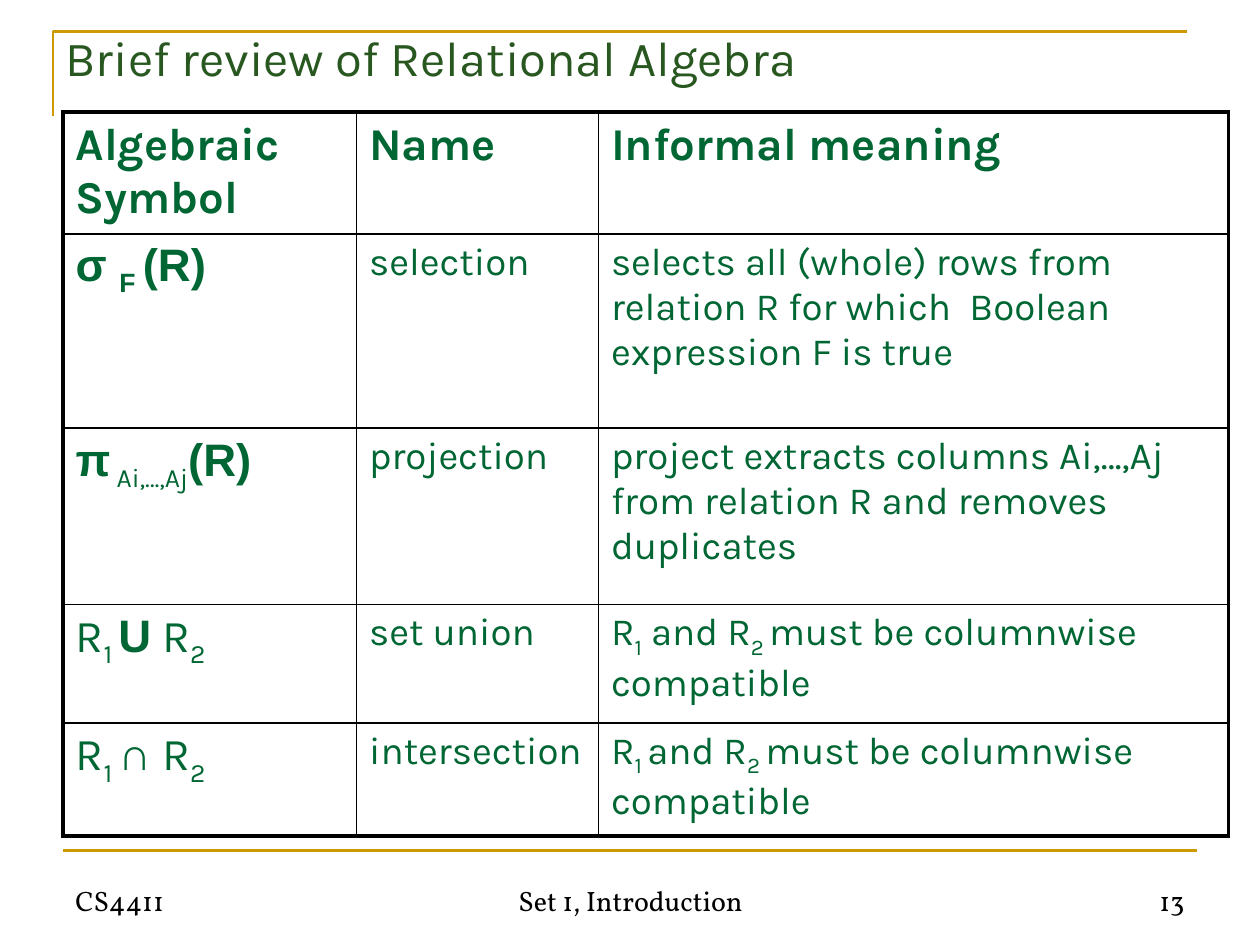
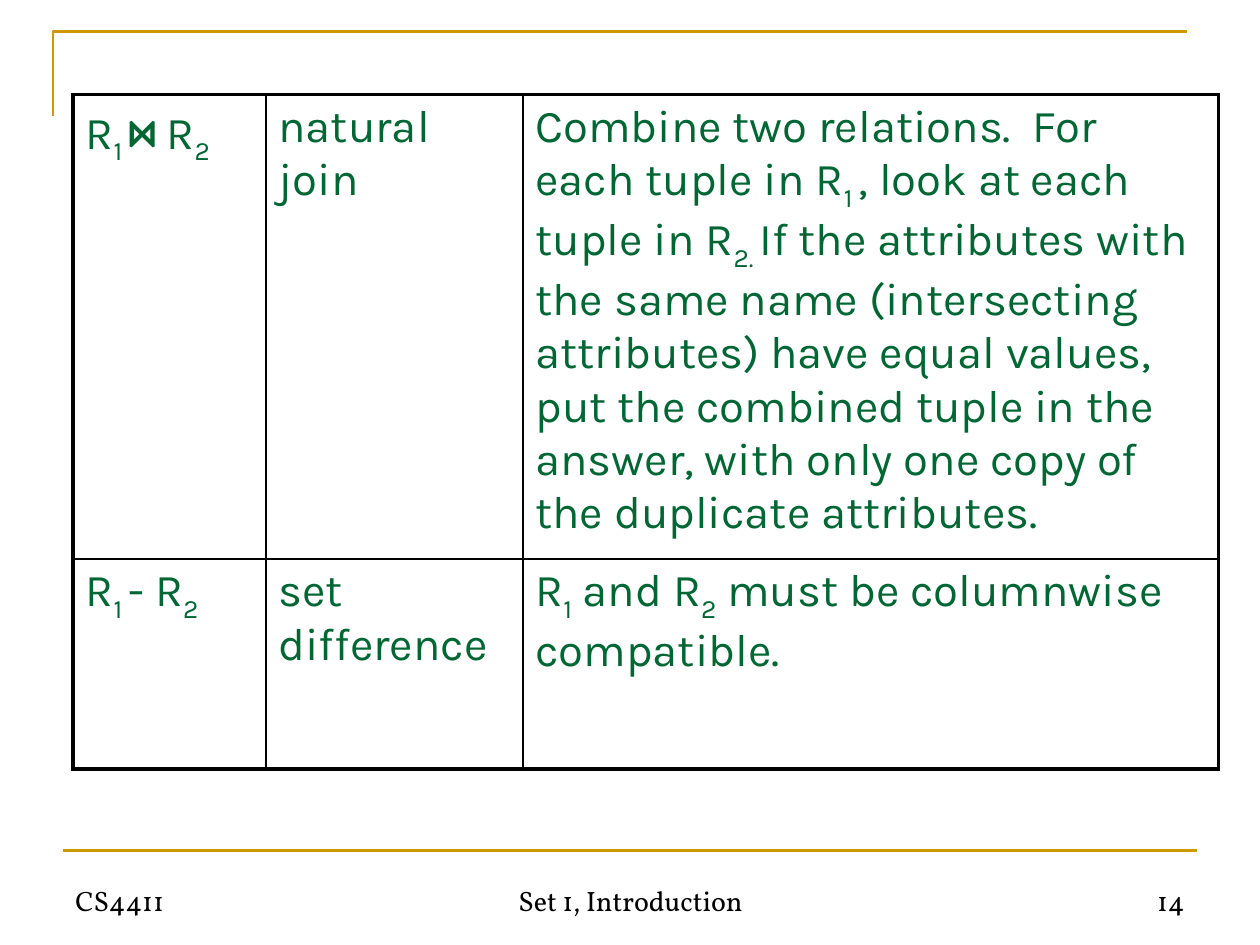
from lxml.etree import SubElement
from pptx import Presentation
from pptx.dml.color import RGBColor
from pptx.enum.shapes import MSO_CONNECTOR as Connector
from pptx.enum.text import MSO_ANCHOR as Anchor, MSO_AUTO_SIZE as AutoSize, PP_ALIGN as Align
from pptx.oxml import parse_xml
from pptx.oxml.ns import nsdecls, qn
from pptx.util import Inches, Pt

GOLD = RGBColor(0xCC, 0x99, 0x00)
GREEN = RGBColor(0x00, 0x66, 0x33)
TITLE_GREEN = RGBColor(0x28, 0x57, 0x20)
BLACK = RGBColor(0, 0, 0)

BODY_FONT, FOOTER_FONT = "Karla", "Vollkorn"
TITLE_ONLY, BLANK = 5, 6
OUTER, INNER = 2.25, 1

# Span styles: values that differ from the plain text of a table column.
PLAIN = {}
SUB = {"baseline": -25000}
HEAD = {"size": Pt(26), "bold": True}
SYMBOL = {"name": "Arial", "bold": True}
SYMBOL_SUB = {**SYMBOL, **SUB}
JOIN = {"name": "Noto Sans Mono", "bold": True}


def pair(operator, style):
    """Return the spans of R1 and R2 with an operator between them."""
    return [("R", PLAIN), ("1 ", SUB), (operator, style), (" R", PLAIN), ("2", SUB)]


def compatible(first, joint, second, ending):
    """Return the spans of the rule that R1 and R2 must be compatible."""
    return [("R", PLAIN), (first, SUB), (joint, PLAIN), (second, SUB), (ending, PLAIN)]


OPERATIONS = [
    [[("Algebraic Symbol", HEAD)], [("Name", HEAD)], [("Informal meaning", HEAD)]],
    [[("σ ", SYMBOL), ("F ", SYMBOL_SUB), ("(R)", SYMBOL)],
     "selection",
     "selects all (whole) rows from relation R for which  Boolean expression F is true"],
    [[("π", SYMBOL), (" Ai,…,Aj", SUB), ("(R)", SYMBOL)],
     "projection",
     "project extracts columns Ai,…,Aj from relation R and removes duplicates"],
    [pair("U", SYMBOL),
     "set union",
     compatible("1", " and R", "2 ", "must be columnwise compatible")],
    [pair("∩", SYMBOL),
     "intersection",
     compatible("1 ", "and R", "2 ", "must be columnwise compatible")],
]

MORE_OPERATIONS = [
    [pair("⋈", JOIN),
     "natural join",
     [("Combine two relations.  For each tuple in R", PLAIN), ("1 ", SUB),
      (", look at each tuple in R", PLAIN), ("2. ", SUB),
      ("If the attributes with the same name (intersecting attributes) have equal "
       "values, put the combined tuple in the answer, with only one copy of the "
       "duplicate attributes.", PLAIN)]],
    [[("R", PLAIN), ("1 ", SUB), ("- R", PLAIN), ("2", SUB)],
     "set difference",
     compatible("1", " and R", "2", " must be columnwise compatible.")],
]


def add_span(para, text, color, **values):
    """Add a run of text with its font values."""
    span = para.add_run()
    span.text = text
    span.font.color.rgb = color
    baseline = values.pop("baseline", None)
    for key, value in values.items():
        setattr(span.font, key, value)
    if baseline:
        span.font._element.set("baseline", str(baseline))


def style_line(shape):
    """Give a band its gold line without a shadow."""
    shape.line.color.rgb = GOLD
    shape.line.width = Pt(1.5)


def add_bands(page):
    """Draw the corner at the top and the rule above the footer."""
    left, top = Inches(0.42), Inches(0.25)
    builder = page.shapes.build_freeform(left, Inches(0.92))
    builder.add_line_segments([(left, top), (Inches(9.42), top)], close=False)
    corner = builder.convert_to_shape()
    corner.fill.background()
    corner.shadow.inherit = False
    style_line(corner)

    height = Inches(6.75)
    rule = page.shapes.add_connector(
        Connector.STRAIGHT, Inches(0.5), height, Inches(9.5), height)
    style_line(rule)
    SubElement(rule._element.spPr, qn("a:effectLst"))


def add_footer(page, number):
    """Write the course, the set and the page number."""
    parts = [("CS4411", 0.5, 2.33, Align.LEFT),
             ("Set 1, Introduction", 3.42, 3.17, Align.CENTER),
             (str(number), 7.17, 2.33, Align.RIGHT)]
    for text, left, width, align in parts:
        box = page.shapes.add_textbox(
            Inches(left), Inches(6.83), Inches(width), Inches(0.5))
        frame = box.text_frame
        frame.word_wrap = True
        frame.vertical_anchor = Anchor.BOTTOM
        para = frame.paragraphs[0]
        para.alignment = align
        add_span(para, text, BLACK, name=FOOTER_FONT, size=Pt(16))


def add_title(page, text):
    """Move and format the title placeholder."""
    title = page.shapes.title
    place = {"left": 0.42, "top": 0.17, "width": 6.5, "height": 0.57}
    for key, value in place.items():
        setattr(title, key, Inches(value))
    frame = title.text_frame
    frame.word_wrap = True
    frame.auto_size = AutoSize.SHAPE_TO_FIT_TEXT
    frame.vertical_anchor = Anchor.TOP
    para = frame.paragraphs[0]
    para.alignment = Align.LEFT
    add_span(para, text, TITLE_GREEN, name=BODY_FONT, size=Pt(28))


def set_borders(cell, widths):
    """Set the left, right, top and bottom lines of a cell, in points."""
    properties = cell._tc.get_or_add_tcPr()
    for index, (side, width) in enumerate(zip("LRTB", widths)):
        properties.insert(index, parse_xml(
            f'<a:ln{side} {nsdecls("a")} w="{Pt(width)}"><a:solidFill>'
            f'<a:srgbClr val="{BLACK}"/></a:solidFill></a:ln{side}>'))


def fill_cell(cell, content, size):
    """Write plain text or a list of styled spans in a cell."""
    cell.fill.background()
    para = cell.text_frame.paragraphs[0]
    spacing = SubElement(para._p.get_or_add_pPr(), qn("a:spcBef"))
    SubElement(spacing, qn("a:spcPct")).set("val", "20000")
    spans = [(content, PLAIN)] if isinstance(content, str) else content
    for text, style in spans:
        add_span(para, text, GREEN, **{"name": BODY_FONT, "size": Pt(size), **style})


def add_operations(page, rows, left, top, widths, heights, sizes):
    """Add a table of operations with a thick frame and thin inner lines."""
    frame = page.shapes.add_table(
        len(heights), len(widths), Inches(left), Inches(top),
        Inches(sum(widths)), Inches(sum(heights)))
    table = frame.table
    table.first_row = table.horz_banding = False
    for column, width in zip(table.columns, widths):
        column.width = Inches(width)
    for row, height in zip(table.rows, heights):
        row.height = Inches(height)
    last_row, last_column = len(heights) - 1, len(widths) - 1
    for r, row in enumerate(rows):
        for c, content in enumerate(row):
            cell = table.cell(r, c)
            fill_cell(cell, content, sizes[c])
            edges = (c == 0, c == last_column, r == 0, r == last_row)
            set_borders(cell, [OUTER if edge else INNER for edge in edges])


def add_page(deck, layout, number):
    """Add a slide with the shared bands and footer."""
    page = deck.slides.add_slide(deck.slide_layouts[layout])
    add_bands(page)
    add_footer(page, number)
    return page


def main():
    """Build the two slides and save them."""
    deck = Presentation()
    deck.slide_width, deck.slide_height = Inches(10), Inches(7.5)

    page = add_page(deck, TITLE_ONLY, 13)
    add_title(page, "Brief review of Relational Algebra")
    add_operations(page, OPERATIONS, 0.5, 0.89, widths=[2.33, 1.92, 5],
                   heights=[0.94, 1.54, 1.4, 0.94, 0.9], sizes=[26, 22, 22])

    page = add_page(deck, BLANK, 14)
    add_operations(page, MORE_OPERATIONS, 0.58, 0.75, widths=[1.53, 2.04, 5.52],
                   heights=[3.42, 1.67], sizes=[26, 26, 26])

    deck.save("out.pptx")


main()
